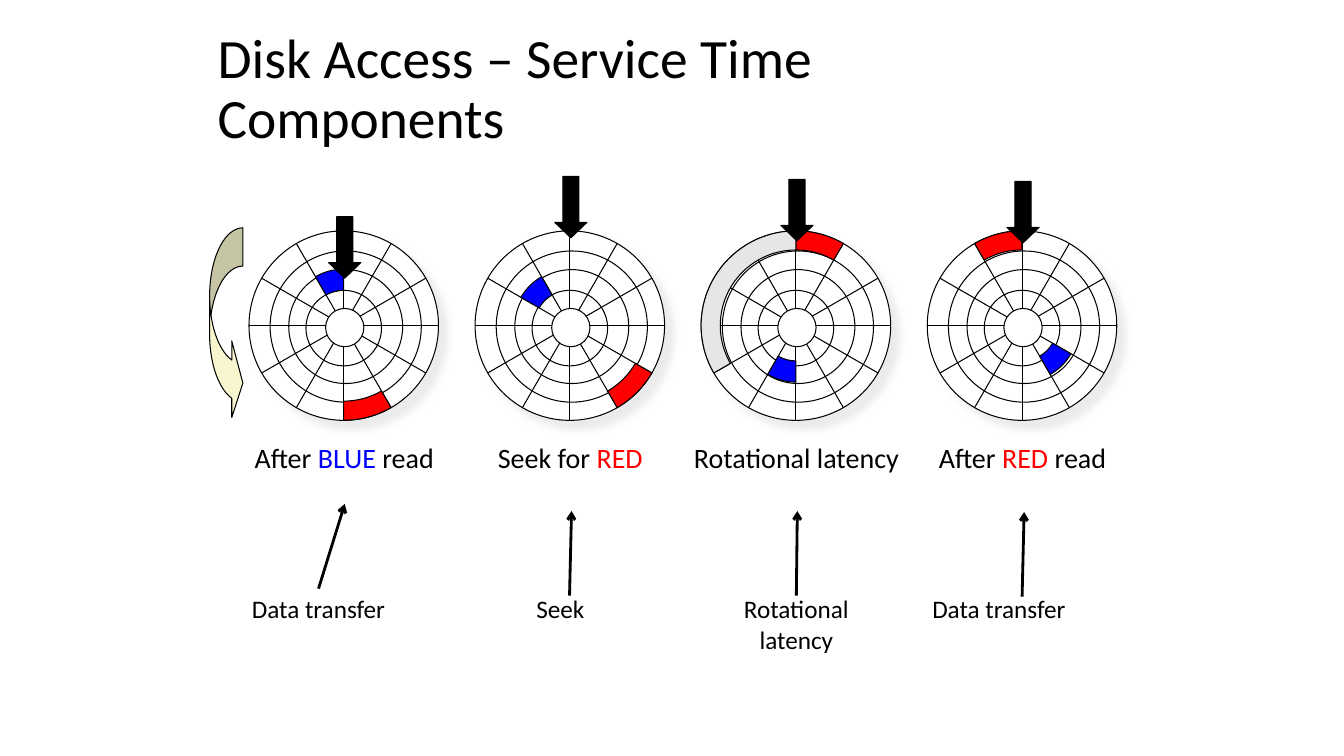
import math
from dataclasses import dataclass

import pptx
import pptx.dml.color
import pptx.enum.shapes
import pptx.enum.text
import pptx.oxml
import pptx.oxml.ns
import pptx.util

SHAPES = pptx.enum.shapes.MSO_SHAPE
ALIGN = pptx.enum.text.PP_ALIGN
ANCHOR = pptx.enum.text.MSO_ANCHOR


@dataclass(frozen=True)
class Theme:
    font: str = "Calibri"
    black: str = "000000"
    white: str = "FFFFFF"
    red: str = "FF0000"
    blue: str = "0000FF"
    grey: str = "E7E6E6"
    cream: str = "F7F5CD"
    title_size: float = 39.6
    caption_size: float = 20
    label_size: float = 18
    thin: float = 0.75
    thick: float = 2


THEME = Theme()

# All lengths count cells of a grid of ten columns and ten rows to the inch.
FIRST_DISK, DISK_PITCH, DISK_ROW = 34.1, 22.43, 32.3
CAPTION_ROW, LABEL_ROW = 43.2, 58.4
DISK_RADIUS = 9.4
RINGS = [(DISK_RADIUS, 0, 0), (7.5, 0.2, 0.1), (5.65, 0.2, 0.1), (3.75, 0, 0.25)]
HUB = (1.9, 0.1, 0.2)
OUTER_TRACK, INNER_TRACK = (7.5, 9.4), (3.5, 5.6)


@dataclass(frozen=True)
class Stage:
    """One step of the access; sectors are (first angle, last angle, track, colour)."""
    caption: tuple
    label: tuple
    label_centre: float
    head_top: float
    pointer: tuple
    sectors: tuple


STAGES = [
    Stage((("After ", THEME.black), ("BLUE ", THEME.blue), ("read", THEME.black)),
          ("Data transfer",), 31.6, 21.5, (31.6, 58.4, 34.2, 50),
          ((330, 360, INNER_TRACK, THEME.blue), (150, 180, OUTER_TRACK, THEME.red))),
    Stage((("Seek for ", THEME.black), ("RED", THEME.red)),
          ("Seek",), 55.6, 17.5, (56.5, 59.1, 56.7, 50.7),
          ((120, 150, OUTER_TRACK, THEME.red), (300, 330, INNER_TRACK, THEME.blue))),
    Stage((("Rotational latency", THEME.black),),
          ("Rotational", "latency"), 79, 17.8, (79, 59.1, 79.1, 50.7),
          ((0, 30, OUTER_TRACK, THEME.red), (180, 210, INNER_TRACK, THEME.blue),
           (240, 360, OUTER_TRACK, THEME.grey))),
    Stage((("After ", THEME.black), ("RED", THEME.red), (" read", THEME.black)),
          ("Data transfer",), 99.1, 18, (101.4, 59.2, 101.6, 50.8),
          ((330, 360, OUTER_TRACK, THEME.red), (120, 150, INNER_TRACK, THEME.blue))),
]


def cells(count):
    return pptx.util.Inches(count / 10)


def rgb(colour):
    return pptx.dml.color.RGBColor.from_string(colour)


def polar(centre, radius, angle):
    """Point at a clockwise angle from the top, in degrees."""
    turn = math.radians(angle)
    return centre[0] + radius * math.sin(turn), centre[1] - radius * math.cos(turn)


def paint(shape, fill):
    shape.shadow.inherit = False
    shape.fill.solid()
    shape.fill.fore_color.rgb = rgb(fill)
    shape.line.color.rgb = rgb(THEME.black)
    shape.line.width = pptx.util.Pt(THEME.thin)


def add_preset(shapes, preset, left, top, width, height, fill, adjustments=()):
    shape = shapes.add_shape(preset, cells(left), cells(top), cells(width), cells(height))
    paint(shape, fill)
    for index, value in enumerate(adjustments):
        shape.adjustments[index] = value
    return shape


def add_circle(shapes, centre, ring):
    radius, right, down = ring
    return add_preset(shapes, SHAPES.OVAL, centre[0] + right - radius,
                      centre[1] + down - radius, 2 * radius, 2 * radius, THEME.white)


def add_soft_shadow(shape):
    effects = shape._element.spPr.find(pptx.oxml.ns.qn("a:effectLst"))
    effects.append(pptx.oxml.parse_xml(
        f'<a:outerShdw {pptx.oxml.ns.nsdecls("a")} blurRad="{pptx.util.Pt(5)}" '
        f'dist="{pptx.util.Pt(8.5)}" dir="2700000" algn="ctr" rotWithShape="0">'
        f'<a:srgbClr val="{THEME.grey}"><a:alpha val="75000"/></a:srgbClr></a:outerShdw>'))


def add_line(shapes, start, end, width):
    line = shapes.add_connector(pptx.enum.shapes.MSO_CONNECTOR.STRAIGHT,
                                *(cells(value) for value in (*start, *end)))
    line.line.color.rgb = rgb(THEME.black)
    line.line.width = pptx.util.Pt(width)
    properties = line._element.spPr
    properties.append(properties.makeelement(pptx.oxml.ns.qn("a:effectLst"), {}))
    return line


def add_sector(shapes, centre, first, last, track, colour):
    inner, outer = track
    angles = range(first, last + 1, 3)
    outline = [polar(centre, outer, angle) for angle in angles]
    outline += [polar(centre, inner, angle) for angle in reversed(angles)]
    points = [(cells(across), cells(down)) for across, down in outline]
    builder = shapes.build_freeform(*points[0], scale=1.0)
    builder.add_line_segments(points[1:], close=True)
    paint(builder.convert_to_shape(), colour)


def add_disk(slide, centre, stage):
    shapes = slide.shapes.add_group_shape().shapes
    add_soft_shadow(add_circle(shapes, centre, RINGS[0]))
    for ring in RINGS[1:]:
        add_circle(shapes, centre, ring)
    for angle in range(0, 180, 30):
        add_line(shapes, polar(centre, DISK_RADIUS, angle),
                 polar(centre, DISK_RADIUS, angle + 180), THEME.thin)
    add_circle(shapes, centre, HUB)
    for sector in stage.sectors:
        add_sector(shapes, centre, *sector)
    add_preset(shapes, SHAPES.DOWN_ARROW, centre[0] - 1.5, stage.head_top, 3.2, 6.1,
               THEME.black, (0.5, 0.481))


def add_text(slide, left, top, width, height, paragraphs, size,
             alignment=ALIGN.CENTER, anchor=ANCHOR.TOP, spacing=1.0):
    """Each paragraph is a list of (text, colour) runs."""
    box = slide.shapes.add_textbox(cells(left), cells(top), cells(width), cells(height))
    frame = box.text_frame
    frame.word_wrap = True
    frame.vertical_anchor = anchor
    for index, runs in enumerate(paragraphs):
        paragraph = frame.add_paragraph() if index else frame.paragraphs[0]
        paragraph.alignment = alignment
        paragraph.line_spacing = spacing
        paragraph.font.name = THEME.font
        paragraph.font.size = pptx.util.Pt(size)
        for text, colour in runs:
            run = paragraph.add_run()
            run.text = text
            run.font.color.rgb = rgb(colour)
    return box


def add_pointer(slide, pointer, label, label_top):
    start, end = pointer[:2], pointer[2:]
    line = add_line(slide.shapes, start, end, THEME.thick)
    if start == label_top:
        line.begin_connect(label, 0)
    outline = line.line._get_or_add_ln()
    outline.append(outline.makeelement(pptx.oxml.ns.qn("a:tailEnd"), {"type": "arrow"}))


def add_stage(slide, column, stage):
    centre = (FIRST_DISK + column * DISK_PITCH, DISK_ROW)
    add_disk(slide, centre, stage)
    add_text(slide, centre[0] - 13.3, CAPTION_ROW, 26.7, 4.3, [stage.caption],
             THEME.caption_size)
    label = add_text(slide, stage.label_centre - 9, LABEL_ROW, 18, 4 * len(stage.label),
                     [[(line, THEME.black)] for line in stage.label], THEME.label_size)
    add_pointer(slide, stage.pointer, label, (stage.label_centre, LABEL_ROW))


def main():
    presentation = pptx.Presentation()
    presentation.slide_width = cells(133.33)
    presentation.slide_height = cells(75)
    slide = presentation.slides.add_slide(presentation.slide_layouts[6])
    add_text(slide, 20.6, 4.8, 88.5, 8.3,
             [[("Disk Access – Service Time Components", THEME.black)]],
             THEME.title_size, ALIGN.LEFT, ANCHOR.MIDDLE, 0.9)
    for column, stage in enumerate(STAGES):
        add_stage(slide, column, stage)
    add_preset(slide.shapes, SHAPES.CURVED_RIGHT_ARROW, 20.8, 22.6, 3.3, 19.2,
               THEME.cream, (1.15, 2.3, 0.333))
    presentation.save("out.pptx")


if __name__ == "__main__":
    main()
